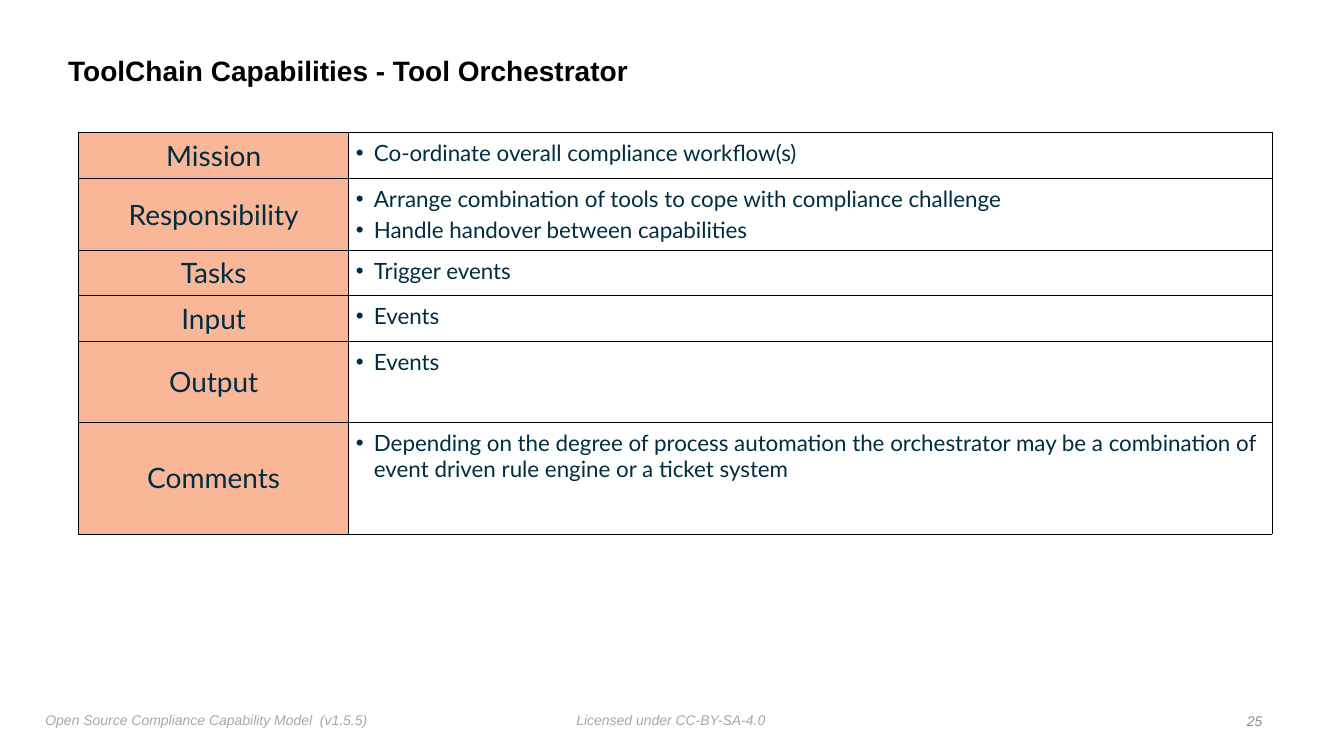
from lxml import etree
from pptx import Presentation, util as u
from pptx.dml.color import RGBColor
from pptx.enum import text
from pptx.oxml import ns

W, H = u.Inches(13.33), u.Inches(7.5)
INK, PEACH, GREY = "002D41", "FAB798", "A7A7A7"
COLUMNS = [20.1, 68.7]
ROWS = [
    ("Mission", 6.1, ["Co-ordinate overall compliance workflow(s)"]),
    ("Responsibility", 9.5, [
        "Arrange combination of tools to cope with compliance challenge",
        "Handle handover between capabilities"]),
    ("Tasks", 6, ["Trigger events"]),
    ("Input", 6, ["Events"]),
    ("Output", 10.7, ["Events"]),
    ("Comments", 14.8, [
        "Depending on the degree of process automation the orchestrator may be "
        "a combination of event driven rule engine or a ticket system"]),
]


def across(share):
    """Turn a percentage of the slide width into a length."""
    return int(W * share / 100)


def down(share):
    """Turn a percentage of the slide height into a length."""
    return int(H * share / 100)


def rgb(value):
    """Turn a hex string into a colour."""
    return RGBColor.from_string(value)


def add_run(p, words, size, color, font="Arial", bold=False, italic=False):
    """Add one formatted run to a paragraph."""
    r = p.add_run()
    r.text = words
    r.font.name, r.font.size = font, u.Pt(size)
    r.font.bold, r.font.italic = bold, italic
    r.font.color.rgb = rgb(color)


def add_label(s, x, y, w, h, wrap=False, anchor=text.MSO_ANCHOR.TOP,
              align=text.PP_ALIGN.LEFT):
    """Add an empty text box and return its first paragraph."""
    tf = s.shapes.add_textbox(across(x), down(y), across(w), down(h)).text_frame
    tf.margin_left = tf.margin_right = u.Inches(0.05)
    tf.margin_top = tf.margin_bottom = u.Inches(0.05)
    tf.word_wrap, tf.vertical_anchor = wrap, anchor
    if not wrap:
        tf.auto_size = text.MSO_AUTO_SIZE.SHAPE_TO_FIT_TEXT
    p = tf.paragraphs[0]
    p.alignment = align
    return p


def style_cell(cell, margin, fill=None):
    """Give a cell its margins, thin black borders and fill."""
    cell.margin_left = cell.margin_right = u.Inches(margin)
    cell.margin_top = cell.margin_bottom = u.Inches(margin)
    tcPr = cell._tc.get_or_add_tcPr()
    for side in ("a:lnL", "a:lnR", "a:lnT", "a:lnB"):
        ln = etree.SubElement(tcPr, ns.qn(side), w=str(u.Pt(0.5)))
        solid = etree.SubElement(ln, ns.qn("a:solidFill"))
        etree.SubElement(solid, ns.qn("a:srgbClr"), val="000000")
    if fill:
        cell.fill.solid()
        cell.fill.fore_color.rgb = rgb(fill)
    else:
        cell.fill.background()


def add_bullet(p):
    """Turn a paragraph into a bullet with a hanging indent."""
    pPr = p._p.get_or_add_pPr()
    pPr.set("marL", str(u.Inches(0.18)))
    pPr.set("indent", str(-u.Inches(0.18)))
    etree.SubElement(pPr, ns.qn("a:buFont"), typeface="Arial")
    etree.SubElement(pPr, ns.qn("a:buChar"), char="•")


def fill_heading(cell, words):
    """Write a centred row heading."""
    style_cell(cell, 0, PEACH)
    cell.vertical_anchor = text.MSO_ANCHOR.MIDDLE
    p = cell.text_frame.paragraphs[0]
    p.alignment = text.PP_ALIGN.CENTER
    add_run(p, words, 20, INK, "Lato")


def fill_bullets(cell, items):
    """Write a list of bullets into a cell."""
    style_cell(cell, 0.07)
    tf = cell.text_frame
    for i, item in enumerate(items):
        p = tf.add_paragraph() if i else tf.paragraphs[0]
        add_bullet(p)
        if i:
            p.space_before = u.Pt(3)
        add_run(p, item, 16, INK, "Lato")


def add_capability_table(s, x, y):
    """Add the table of headings and bullets."""
    height = sum(share for _, share, _ in ROWS)
    table = s.shapes.add_table(len(ROWS), len(COLUMNS), across(x), down(y),
                               across(sum(COLUMNS)), down(height)).table
    table.first_row = table.horz_banding = False
    for column, share in zip(table.columns, COLUMNS):
        column.width = across(share)
    for row, (heading, share, items) in zip(table.rows, ROWS):
        row.height = down(share)
        fill_heading(row.cells[0], heading)
        fill_bullets(row.cells[1], items)


def main():
    """Build the slide and save it."""
    prs = Presentation()
    prs.slide_width, prs.slide_height = W, H
    s = prs.slides.add_slide(prs.slide_layouts[6])
    middle = text.MSO_ANCHOR.MIDDLE
    p = add_label(s, 4.7, 5.2, 80.6, 8.7, wrap=True, anchor=middle)
    p.line_spacing = 0.9
    add_run(p, "ToolChain Capabilities - Tool Orchestrator", 20, "000000", bold=True)
    add_capability_table(s, 5.85, 17.5)
    p = add_label(s, 3, 93.5, 24.9, 3.6)
    add_run(p, "Open Source Compliance Capability Model  (v1.5.5)", 10, GREY, italic=True)
    p = add_label(s, 42.5, 93.5, 14.9, 3.3)
    add_run(p, "Licensed under CC-BY-SA-4.0", 10, GREY, italic=True)
    p = add_label(s, 92.3, 93.7, 2, 3.3, anchor=middle, align=text.PP_ALIGN.RIGHT)
    add_run(p, "25", 10, "888C91", italic=True)
    prs.save("out.pptx")


if __name__ == "__main__":
    main()
